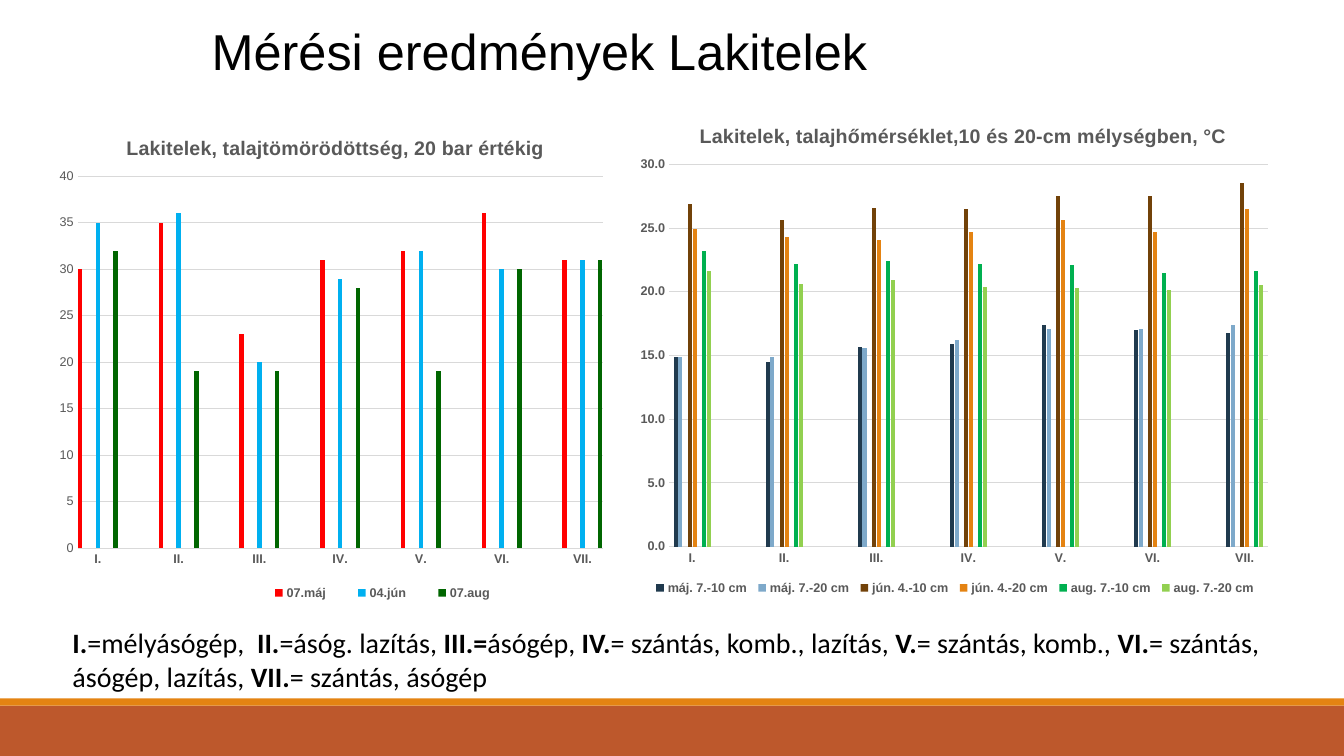
from lxml import etree
from pptx import Presentation
from pptx.chart.data import CategoryChartData
from pptx.dml.color import RGBColor
from pptx.enum.chart import XL_CHART_TYPE, XL_LEGEND_POSITION, XL_TICK_MARK
from pptx.enum.shapes import MSO_SHAPE
from pptx.enum.text import MSO_ANCHOR, MSO_AUTO_SIZE, PP_ALIGN
from pptx.oxml import parse_xml
from pptx.oxml.ns import nsdecls, qn
from pptx.util import Inches, Pt

COLUMNS = XL_CHART_TYPE.COLUMN_CLUSTERED
BOTTOM = XL_LEGEND_POSITION.BOTTOM
NO_TICK = XL_TICK_MARK.NONE
RECT = MSO_SHAPE.RECTANGLE
MIDDLE, LEFT, NO_FIT = MSO_ANCHOR.MIDDLE, PP_ALIGN.LEFT, MSO_AUTO_SIZE.NONE

W, H = 13.33, 7.5
GREY, GRID = "595959", "D9D9D9"
TREATMENTS = ["I.", "II.", "III.", "IV.", "V.", "VI.", "VII."]

COMPACTION = [
    ("07.máj", "FF0000", [30, 35, 23, 31, 32, 36, 31]),
    ("Series 2", "BD582C", None),
    ("Series 3", "865640", None),
    ("04.jún", "00B0F0", [35, 36, 20, 29, 32, 30, 31]),
    ("Series 5", "C2BC80", None),
    ("Series 6", "94A088", None),
    ("07.aug", "006600", [32, 19, 19, 28, 19, 30, 31]),
]
TEMPERATURE = [
    ("máj. 7.-10 cm", "203A4E", [14.9, 14.5, 15.7, 15.9, 17.4, 17, 16.8]),
    ("máj. 7.-20 cm", "7EA9CA", [14.9, 14.9, 15.6, 16.2, 17.1, 17.1, 17.4]),
    ("Series 3", "865640", None),
    ("jún. 4.-10 cm", "724209", [26.9, 25.6, 26.6, 26.5, 27.5, 27.5, 28.5]),
    ("jún. 4.-20 cm", "E48312", [24.9, 24.3, 24.1, 24.7, 25.6, 24.7, 26.5]),
    ("Series 6", "94A088", None),
    ("aug. 7.-10 cm", "00B050", [23.2, 22.2, 22.4, 22.2, 22.1, 21.5, 21.6]),
    ("aug. 7.-20 cm", "92D050", [21.6, 20.6, 20.9, 20.4, 20.3, 20.1, 20.5]),
]
KEY = [
    ("I.", "=mélyásógép,  "),
    ("II.", "=ásóg. lazítás, "),
    ("III.=", "ásógép, "),
    ("IV.", "= szántás, komb., lazítás, "),
    ("V.", "= szántás, komb., "),
    ("VI.", "= szántás, ásógép, lazítás, "),
    ("VII.", "= szántás, ásógép"),
]


def rgb(color):
    """Turn a hex string into a colour."""
    return RGBColor.from_string(color)


def set_font(font, size, color, name="Arial", bold=None):
    """Format a font in one call."""
    font.size, font.name, font.bold = Pt(size), name, bold
    font.color.rgb = rgb(color)


def set_line(line, color):
    """Give an axis or grid line its colour and width."""
    line.color.rgb = rgb(color)
    line.width = Pt(0.75)


def spread(values):
    """Leave an empty category between neighbouring values."""
    gaps = 2 * len(TREATMENTS) - 1
    return [values[i // 2] if values and i % 2 == 0 else None for i in range(gaps)]


def place(element, index, x, y, w=None, h=None, inner=False):
    """Put a chart part at shares of the chart's size."""
    for old in element.findall(qn("c:layout")):
        element.remove(old)
    layout = parse_xml(f"<c:layout {nsdecls('c')}><c:manualLayout/></c:layout>")
    fields = [("layoutTarget", "inner")] if inner else []
    fields += [("xMode", "edge"), ("yMode", "edge"), ("x", x), ("y", y)]
    fields += [("w", w), ("h", h)] if w else []
    for tag, value in fields:
        etree.SubElement(layout[0], qn("c:" + tag)).set("val", str(value))
    element.insert(index, layout)


def add_band(s, top, height, color):
    """Add a full-width band."""
    sp = s.shapes.add_shape(RECT, 0, Inches(top), Inches(W), Inches(height))
    sp.shadow.inherit = False
    sp.fill.solid()
    sp.fill.fore_color.rgb = rgb(color)
    sp.line.fill.background()


def add_title(s, text):
    """Move and format the title placeholder."""
    sp = s.shapes.title
    sp.left, sp.top, sp.width, sp.height = map(Inches, (2, 0.14, 7.36, 0.71))
    tf = sp.text_frame
    tf.text = text
    tf.auto_size, tf.vertical_anchor = NO_FIT, MIDDLE
    p = tf.paragraphs[0]
    p.alignment = LEFT
    set_font(p.font, 36, "000000")


def add_key(s):
    """Explain the treatment numbers under the charts."""
    box = s.shapes.add_textbox(*map(Inches, (0.62, 6.16, 12.31, 0.77)))
    tf = box.text_frame
    tf.word_wrap = True
    p = tf.paragraphs[0]
    set_font(p.font, 20, "000000", "Calibri")
    for number, meaning in KEY:
        for text, bold in ((number, True), (meaning, False)):
            r = p.add_run()
            r.text, r.font.bold = text, bold


def format_axes(chart, top, number_format, bold):
    """Format the category and value axes."""
    cat, val = chart.category_axis, chart.value_axis
    for axis, heavy in ((cat, True), (val, bold)):
        axis.major_tick_mark = axis.minor_tick_mark = NO_TICK
        set_font(axis.tick_labels.font, 9, GREY, bold=heavy)
    set_line(cat.format.line, GRID)
    val.format.line.fill.background()
    set_line(val.major_gridlines.format.line, GRID)
    val.minimum_scale, val.maximum_scale, val.major_unit = 0, top, 5
    val.tick_labels.number_format = number_format
    val.tick_labels.number_format_is_linked = False


def add_legend(chart, series, area):
    """Add a bottom legend that skips the spacer series."""
    chart.has_legend = True
    legend = chart.legend
    legend.position, legend.include_in_layout = BOTTOM, False
    set_font(legend.font, 9, GREY, bold=True)
    element = legend._element
    spacers = [i for i, (_, _, values) in enumerate(series) if values is None]
    for position, i in enumerate(spacers, 1):
        element.insert(position, parse_xml(
            f'<c:legendEntry {nsdecls("c")}><c:idx val="{i}"/>'
            '<c:delete val="1"/></c:legendEntry>'))
    place(element, len(spacers) + 1, *area)


def add_columns(s, box, title, title_at, series, gap, overlap, plot_area,
                legend_area, top, number_format, bold):
    """Add a clustered column chart."""
    data = CategoryChartData()
    data.categories = [name or "" for name in spread(TREATMENTS)]
    for name, _, values in series:
        data.add_series(name, spread(values))
    chart = s.shapes.add_chart(COLUMNS, *map(Inches, box), data).chart
    set_font(chart.font, 10, "000000", bold=bold)
    chart.has_title = True
    p = chart.chart_title.text_frame.paragraphs[0]
    p.text = title
    set_font(p.font, 14, GREY, bold=True)
    place(chart.chart_title._element, 1, *title_at)
    plot = chart.plots[0]
    plot.gap_width, plot.overlap, plot.vary_by_categories = gap, overlap, False
    for ser, (_, color, _) in zip(plot.series, series):
        ser.format.fill.solid()
        ser.format.fill.fore_color.rgb = rgb(color)
    format_axes(chart, top, number_format, bold)
    add_legend(chart, series, legend_area)
    root = chart._chartSpace
    place(root.find(".//" + qn("c:plotArea")), 0, *plot_area, inner=True)
    root.find(qn("c:chart")).addnext(parse_xml(
        f'<c:spPr {nsdecls("c", "a")}><a:noFill/><a:ln><a:noFill/></a:ln></c:spPr>'))


def main():
    """Build the slide with soil measurements."""
    prs = Presentation()
    prs.slide_width, prs.slide_height = Inches(W), Inches(H)
    s = prs.slides.add_slide(prs.slide_layouts[5])
    add_band(s, 7, 0.5, "BD582C")
    add_band(s, 6.93, 0.07, "E48312")
    add_title(s, "Mérési eredmények Lakitelek")
    add_columns(s, (0.49, 1.11, 5.6, 4.92),
                "Lakitelek, talajtömörödöttség, 20 bar értékig", (0.13, 0.04),
                COMPACTION, 6, -27, (0.05, 0.13, 0.93, 0.75),
                (0.35, 0.95, 0.48, 0.04), 40, "General", False)
    add_key(s)
    add_columns(s, (5.97, 0.62, 6.67, 6.32),
                "Lakitelek, talajhőmérséklet,10 és 20-cm mélységben, °C", (0.14, 0.09),
                TEMPERATURE, 219, -17, (0.1, 0.16, 0.89, 0.6),
                (0.07, 0.81, 0.91, 0.03), 30, "0.0", True)
    prs.save("out.pptx")


if __name__ == "__main__":
    main()
